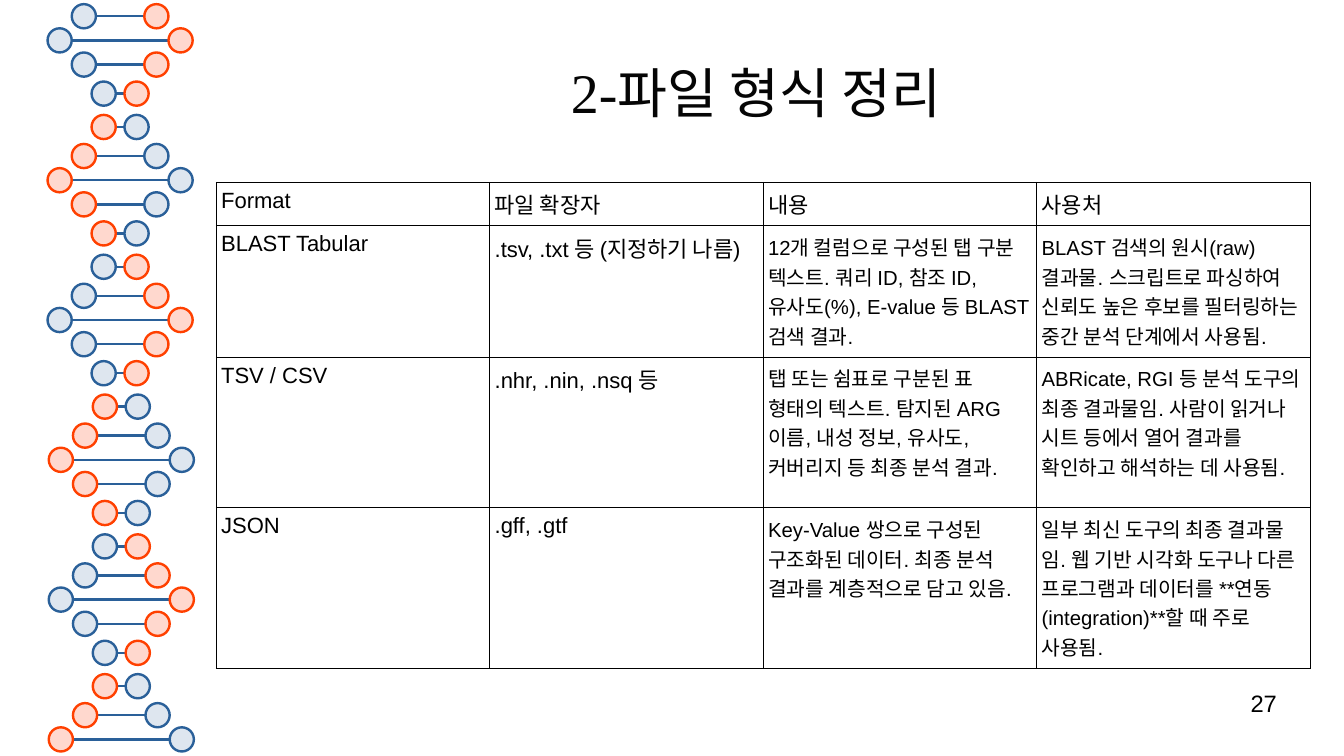
from dataclasses import dataclass

from lxml.etree import SubElement
from pptx import Presentation
from pptx.dml.color import RGBColor
from pptx.enum.shapes import MSO_CONNECTOR, MSO_SHAPE
from pptx.enum.text import MSO_ANCHOR, PP_ALIGN
from pptx.oxml import parse_xml
from pptx.oxml.ns import nsdecls, qn
from pptx.util import Inches, Pt


@dataclass(frozen=True)
class Theme:
    blue: str = "2A6099"
    pale_blue: str = "DEE6EF"
    orange: str = "FF4000"
    pale_orange: str = "FFD8CE"
    title_ink: str = "050505"
    ink: str = "000000"
    serif: str = "Times New Roman"
    sans: str = "Arial"
    title_number: float = 33
    title: float = 32
    page: float = 14
    label: float = 13
    detail: float = 12
    helix_line: float = 1.42
    border: float = 0.57
    cell_x: float = 2.83
    cell_y: float = 3.6


THEME = Theme()

ROWS = [
    ["Format", "파일 확장자", "내용", "사용처"],
    ["BLAST Tabular", ".tsv, .txt 등 (지정하기 나름)",
     "12개 컬럼으로 구성된 탭 구분 텍스트. 쿼리 ID, 참조 ID, 유사도(%), E-value 등 BLAST 검색 결과.",
     "BLAST 검색의 원시(raw) 결과물. 스크립트로 파싱하여 신뢰도 높은 후보를 필터링하는 중간 분석 단계에서 사용됨."],
    ["TSV / CSV", ".nhr, .nin, .nsq 등",
     "탭 또는 쉼표로 구분된 표 형태의 텍스트. 탐지된 ARG 이름, 내성 정보, 유사도, 커버리지 등 최종 분석 결과.",
     "ABRicate, RGI 등 분석 도구의 최종 결과물임. 사람이 읽거나 시트 등에서 열어 결과를 확인하고 해석하는 데 사용됨."],
    ["JSON", ".gff, .gtf",
     "Key-Value 쌍으로 구성된 구조화된 데이터. 최종 분석 결과를 계층적으로 담고 있음.",
     "일부 최신 도구의 최종 결과물임. 웹 기반 시각화 도구나 다른 프로그램과 데이터를 **연동(integration)**할 때 주로 사용됨."],
]
ROW_SHARES = [0.09, 0.27, 0.31, 0.33]


def grid_box(prs, col, row, cols, rows):
    col_w, row_h = prs.slide_width / 100, prs.slide_height / 100
    return [round(v) for v in (col * col_w, row * row_h, cols * col_w, rows * row_h)]


def style_run(r, size, font, color):
    r.font.size = Pt(size)
    r.font.name = font
    r.font.color.rgb = RGBColor.from_string(color)


def add_text(slide, box, parts, align, anchor):
    tf = slide.shapes.add_textbox(*box).text_frame
    tf.word_wrap = True
    tf.margin_left = tf.margin_right = tf.margin_top = tf.margin_bottom = 0
    tf.vertical_anchor = anchor
    p = tf.paragraphs[0]
    p.alignment = align
    for text, *look in parts:
        r = p.add_run()
        r.text = text
        style_run(r, *look)


def add_rung(slide, x1, x2, y):
    line = slide.shapes.add_connector(
        MSO_CONNECTOR.STRAIGHT, round(x1), round(y), round(x2), round(y))
    line.line.color.rgb = RGBColor.from_string(THEME.blue)
    line.line.width = Pt(THEME.helix_line)
    SubElement(line._element.spPr, qn("a:effectLst"))


def add_bead(slide, x, y, size, fill, edge):
    sp = slide.shapes.add_shape(
        MSO_SHAPE.OVAL, round(x - size / 2), round(y - size / 2), round(size), round(size))
    sp.shadow.inherit = False
    sp.fill.solid()
    sp.fill.fore_color.rgb = RGBColor.from_string(fill)
    sp.line.color.rgb = RGBColor.from_string(edge)
    sp.line.width = Pt(THEME.helix_line)


def draw_helix(slide, box):
    left, top, width, height = box
    bead = width / 6
    steps = [(-2.2, 0.68), (-1, 1.5), (0, 2.5), (1, 1.5), (2.2, 0.68)]
    blue = (THEME.pale_blue, THEME.blue)
    orange = (THEME.pale_orange, THEME.orange)
    for turn in range(6):
        colors = (blue, orange) if turn % 2 == 0 else (orange, blue)
        middle = left + width / 2 + (0.05 * bead if turn > 2 else 0)
        for offset, reach in steps:
            y = top + (1.5 + 5.78 * turn + offset) * bead
            if not top < y < top + height:
                continue
            ends = (middle - reach * bead, middle + reach * bead)
            add_rung(slide, ends[0] + bead / 2, ends[1] - bead / 2, y)
            for x, color in zip(ends, colors):
                add_bead(slide, x, y, bead, *color)


def draw_title(slide, box):
    parts = [
        ("2-", THEME.title_number, THEME.serif, THEME.title_ink),
        ("파일 형식 정리", THEME.title, THEME.serif, THEME.title_ink),
    ]
    add_text(slide, box, parts, PP_ALIGN.CENTER, MSO_ANCHOR.MIDDLE)


def draw_page_number(slide, box):
    parts = [("27", THEME.page, THEME.sans, THEME.ink)]
    add_text(slide, box, parts, PP_ALIGN.RIGHT, MSO_ANCHOR.TOP)


def set_borders(cell):
    tc_pr = cell._tc.get_or_add_tcPr()
    for i, side in enumerate(("lnL", "lnR", "lnT", "lnB")):
        tc_pr.insert(i, parse_xml(
            f'<a:{side} {nsdecls("a")} w="{Pt(THEME.border)}"><a:solidFill>'
            f'<a:srgbClr val="{THEME.ink}"/></a:solidFill></a:{side}>'))


def draw_formats(slide, box):
    left, top, width, height = box
    table = slide.shapes.add_table(len(ROWS), len(ROWS[0]), *box).table
    table.first_row = table.horz_banding = False
    for column in table.columns:
        column.width = round(width / len(ROWS[0]))
    for i, (texts, share) in enumerate(zip(ROWS, ROW_SHARES)):
        table.rows[i].height = round(height * share)
        for j, text in enumerate(texts):
            cell = table.cell(i, j)
            cell.fill.background()
            cell.margin_left = cell.margin_right = Pt(THEME.cell_x)
            cell.margin_top = cell.margin_bottom = Pt(THEME.cell_y)
            set_borders(cell)
            p = cell.text_frame.paragraphs[0]
            p.text = text
            p._p.get_or_add_pPr().set("hangingPunct", "0")
            size = THEME.detail if i > 0 and j > 1 else THEME.label
            style_run(p.runs[0], size, THEME.sans, THEME.ink)


def main():
    prs = Presentation()
    prs.slide_width, prs.slide_height = Inches(11.02), Inches(6.2)
    slide = prs.slides.add_slide(prs.slide_layouts[6])
    draw_helix(slide, grid_box(prs, 3.54, 0.55, 10.8, 98.8))
    draw_title(slide, grid_box(prs, 16.06, 3.87, 80.4, 16.45))
    draw_formats(slide, grid_box(prs, 16.1, 24.1, 81.4, 64.3))
    draw_page_number(slide, grid_box(prs, 71.69, 91.13, 23.32, 6.94))
    prs.save("out.pptx")


if __name__ == "__main__":
    main()
